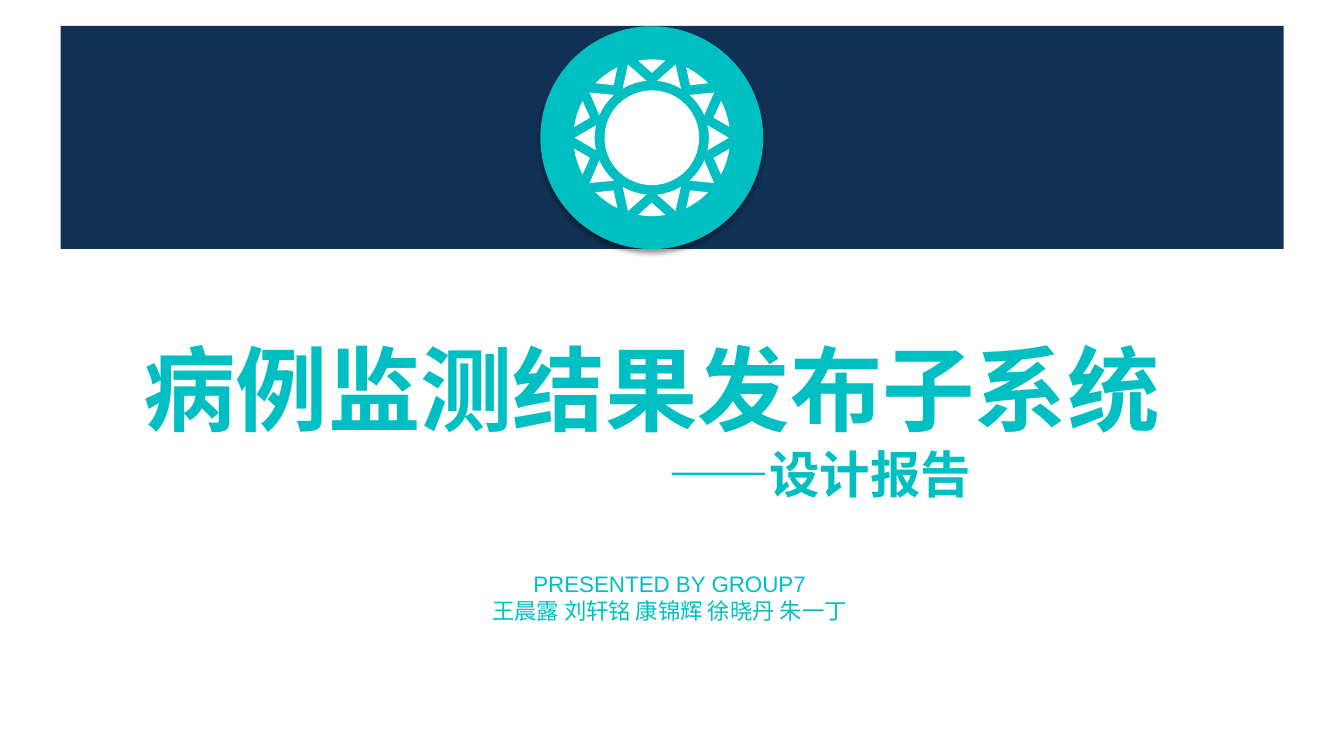
import math

import pptx
import pptx.dml.color
import pptx.enum.shapes
import pptx.enum.text
import pptx.oxml
import pptx.oxml.ns
import pptx.util

Pt = pptx.util.Pt
SHAPES = pptx.enum.shapes.MSO_SHAPE

COLORS = {"navy": "103154", "teal": "00BFC3", "white": "FFFFFF", "shadow": "000000"}
FONT = "Arial"
# text, size, bold, left indent
TITLE = [("病例监测结果发布子系统", 66, True, 0), ("——设计报告", 36, True, 240)]
PRESENTERS = [
    ("PRESENTED BY GROUP7", 16, False, 0),
    ("王晨露 刘轩铭 康锦辉 徐晓丹 朱一丁", 16, False, 0),
]
TITLE_AREA = (87.8, 232.6, 755.3, 133.2)
PRESENTERS_AREA = (338.4, 402.5, 280, 48.2)
BAND_AREA = (43.3, 18.6, 873.6, 159.2)

EMBLEM_CENTER = (465.6, 98.4)
EMBLEM_RADIUS = 79.6
GEM_RADIUS = 33.8
FACET_COUNT = 10
# arc radius, half angle of the arc, radius of the tip, first direction (degrees)
FACET_RINGS = [(40.8, 12.7, 55, 0), (56, 10, 46.4, 18)]


def color(name):
    return pptx.dml.color.RGBColor.from_string(COLORS[name])


def paint(shape, name):
    shape.shadow.inherit = False
    shape.fill.solid()
    shape.fill.fore_color.rgb = color(name)
    shape.line.fill.background()


def add_circle(shapes, radius, name):
    x, y = EMBLEM_CENTER
    circle = shapes.add_shape(
        SHAPES.OVAL, Pt(x - radius), Pt(y - radius), Pt(2 * radius), Pt(2 * radius))
    paint(circle, name)
    return circle


def polar(radius, degrees):
    angle = math.radians(degrees)
    x, y = EMBLEM_CENTER
    return Pt(x + radius * math.cos(angle)), Pt(y + radius * math.sin(angle))


def add_facet(shapes, arc_radius, half_angle, tip_radius, direction):
    """Draw a triangle whose base is an arc around the emblem centre."""
    arc = [polar(arc_radius, direction + half_angle * step / 2) for step in range(-2, 3)]
    builder = shapes.build_freeform(*polar(tip_radius, direction), scale=1.0)
    builder.add_line_segments(arc, close=True)
    paint(builder.convert_to_shape(), "white")


def add_drop_shadow(shape):
    effects = shape._element.spPr.find(pptx.oxml.ns.qn("a:effectLst"))
    effects.append(pptx.oxml.parse_xml(
        f'<a:outerShdw {pptx.oxml.ns.nsdecls("a")} blurRad="{Pt(4)}" dist="{Pt(3)}" '
        f'dir="5400000" algn="t" rotWithShape="0"><a:srgbClr val="{COLORS["shadow"]}">'
        '<a:alpha val="40000"/></a:srgbClr></a:outerShdw>'))


def fill_text(box, lines):
    frame = box.text_frame
    frame.word_wrap = True
    frame.auto_size = pptx.enum.text.MSO_AUTO_SIZE.NONE
    frame.vertical_anchor = pptx.enum.text.MSO_ANCHOR.TOP
    frame.margin_left = frame.margin_right = Pt(9.6)
    frame.margin_top = frame.margin_bottom = Pt(4.8)
    frame.text = "\n".join(line[0] for line in lines)
    for para, (_, size, bold, indent) in zip(frame.paragraphs, lines):
        para.alignment = pptx.enum.text.PP_ALIGN.CENTER
        if indent:
            para._p.get_or_add_pPr().set("marL", str(Pt(indent)))
        for span in para.runs:
            span.font.name = FONT
            span.font.size = Pt(size)
            span.font.bold = bold
            span.font.color.rgb = color("teal")


def main():
    deck = pptx.Presentation()
    deck.slide_width, deck.slide_height = Pt(960), Pt(540)
    page = deck.slides.add_slide(deck.slide_layouts[5])

    title = page.shapes.title
    title.left, title.top, title.width, title.height = map(Pt, TITLE_AREA)
    fill_text(title, TITLE)
    fill_text(page.shapes.add_textbox(*map(Pt, PRESENTERS_AREA)), PRESENTERS)

    band = page.shapes.add_shape(SHAPES.RECTANGLE, *map(Pt, BAND_AREA))
    paint(band, "navy")
    add_drop_shadow(add_circle(page.shapes, EMBLEM_RADIUS, "teal"))

    gem = page.shapes.add_group_shape().shapes
    for arc_radius, half_angle, tip_radius, first in FACET_RINGS:
        for index in range(FACET_COUNT):
            direction = first + index * 360 / FACET_COUNT
            add_facet(gem, arc_radius, half_angle, tip_radius, direction)
    add_circle(gem, GEM_RADIUS, "white")

    deck.save("out.pptx")


if __name__ == "__main__":
    main()
